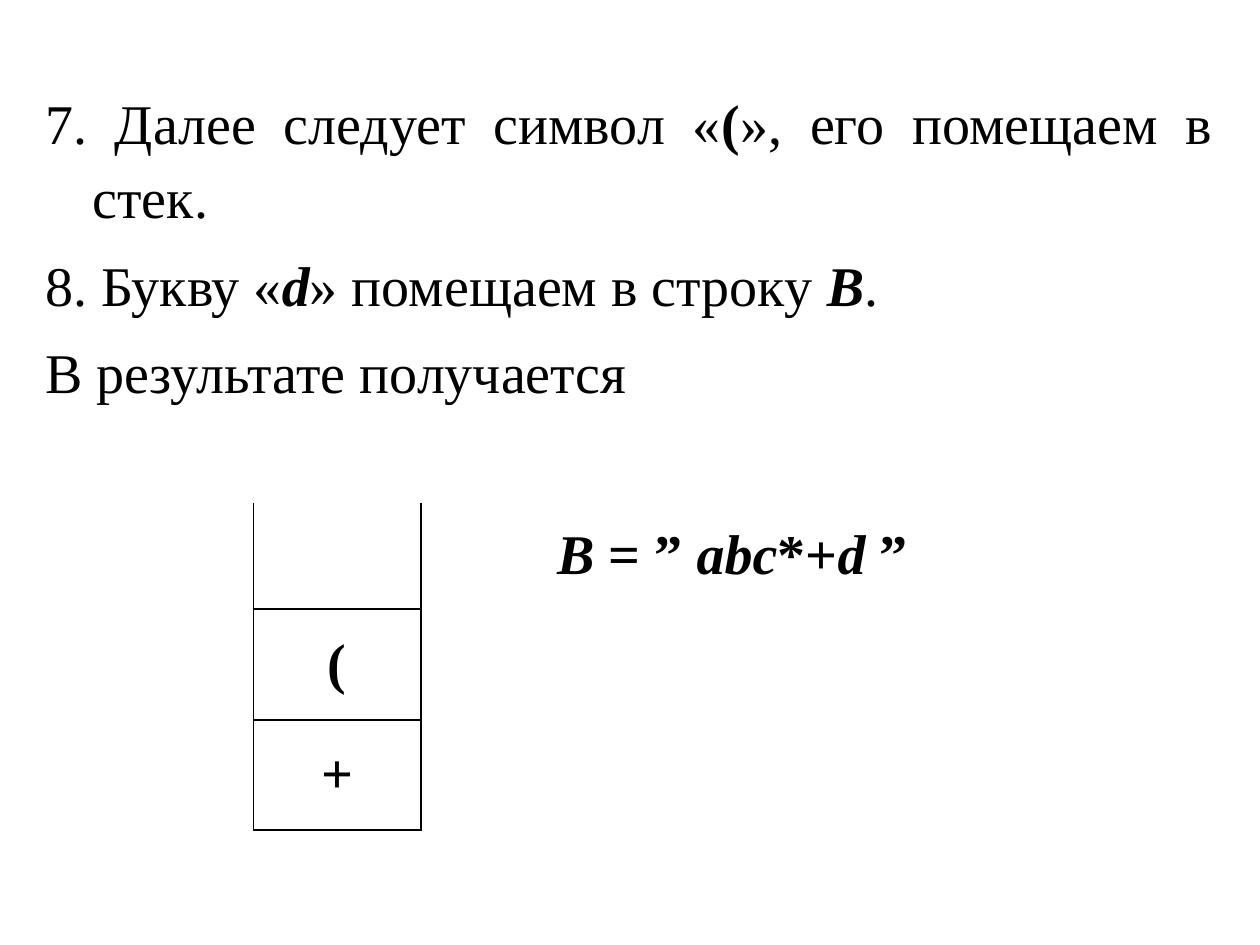
from lxml.etree import SubElement
from pptx import Presentation
from pptx.dml.color import RGBColor
from pptx.enum.text import MSO_ANCHOR as ANCHOR, PP_ALIGN as ALIGN
from pptx.oxml.ns import qn
from pptx.util import Cm, Pt

BLACK = RGBColor(0, 0, 0)
FONT = "Times New Roman"


def add_runs(p, runs):
    """Add (text, style) runs; style holds b for bold and i for italic."""
    p.space_before = Pt(8)
    for text, style in runs:
        r = p.add_run()
        r.text = text
        r.font.name = FONT
        r.font.size = Pt(32)
        r.font.color.rgb = BLACK
        r.font.bold = "b" in style
        r.font.italic = "i" in style


def set_borders(cell, sides):
    """Draw the named sides of a cell in black and hide the others."""
    tcPr = cell._tc.get_or_add_tcPr()
    for i, side in enumerate("LRTB"):
        ln = SubElement(tcPr, qn(f"a:ln{side}"), w=str(Pt(1.08)))
        if side in sides:
            fill = SubElement(ln, qn("a:solidFill"))
            SubElement(fill, qn("a:srgbClr"), val=str(BLACK))
        else:
            SubElement(ln, qn("a:noFill"))


prs = Presentation()
prs.slide_width, prs.slide_height = Cm(25.4), Cm(19.05)
s = prs.slides.add_slide(prs.slide_layouts[6])

# Steps of the algorithm
steps = [
    [("7. Далее следует символ «", ""), ("(", "b"), ("», его помещаем в стек.", "")],
    [("8. Букву «", ""), ("d", "bi"), ("» помещаем в строку ", ""),
     ("В", "bi"), (".", "")],
    [("В результате получается", "")],
]
sp = s.shapes.add_textbox(Cm(0.66), Cm(1.52), Cm(24.03), Cm(8))
tf = sp.text_frame
tf.word_wrap = True
for n, runs in enumerate(steps):
    p = tf.add_paragraph() if n else tf.paragraphs[0]
    p.alignment = ALIGN.JUSTIFY
    p.line_spacing = 1.1
    pPr = p._p.get_or_add_pPr()
    pPr.set("marL", str(Cm(0.96)))
    pPr.set("indent", str(Cm(-0.96)))
    add_runs(p, runs)

# Stack (left column) and the string B (right column)
widths = [Cm(3.38), Cm(12.83)]
heights = [Cm(2.15), Cm(2.23), Cm(2.22)]
tb = s.shapes.add_table(3, 2, Cm(5.11), Cm(10.13), sum(widths), sum(heights)).table
tb.first_row = tb.horz_banding = False
for col, width in zip(tb.columns, widths):
    col.width = width
for row, height in zip(tb.rows, heights):
    row.height = height

cell_runs = {
    (0, 1): [("В", "bi"), (" = ” ", "b"), ("abс", "bi"), ("*+", "b"),
             ("d ", "bi"), ("” ", "b")],
    (1, 0): [("(", "b")],
    (2, 0): [("+", "b")],
}
borders = {(0, 0): "LRB", (0, 1): "L", (1, 0): "LRTB", (1, 1): "L",
           (2, 0): "LRTB", (2, 1): "L"}
for (row, col), sides in borders.items():
    cell = tb.cell(row, col)
    set_borders(cell, sides)
    cell.fill.background()
    cell.vertical_anchor = ANCHOR.MIDDLE
    p = cell.text_frame.paragraphs[0]
    p.alignment = ALIGN.CENTER
    add_runs(p, cell_runs.get((row, col), []))

prs.save("out.pptx")
